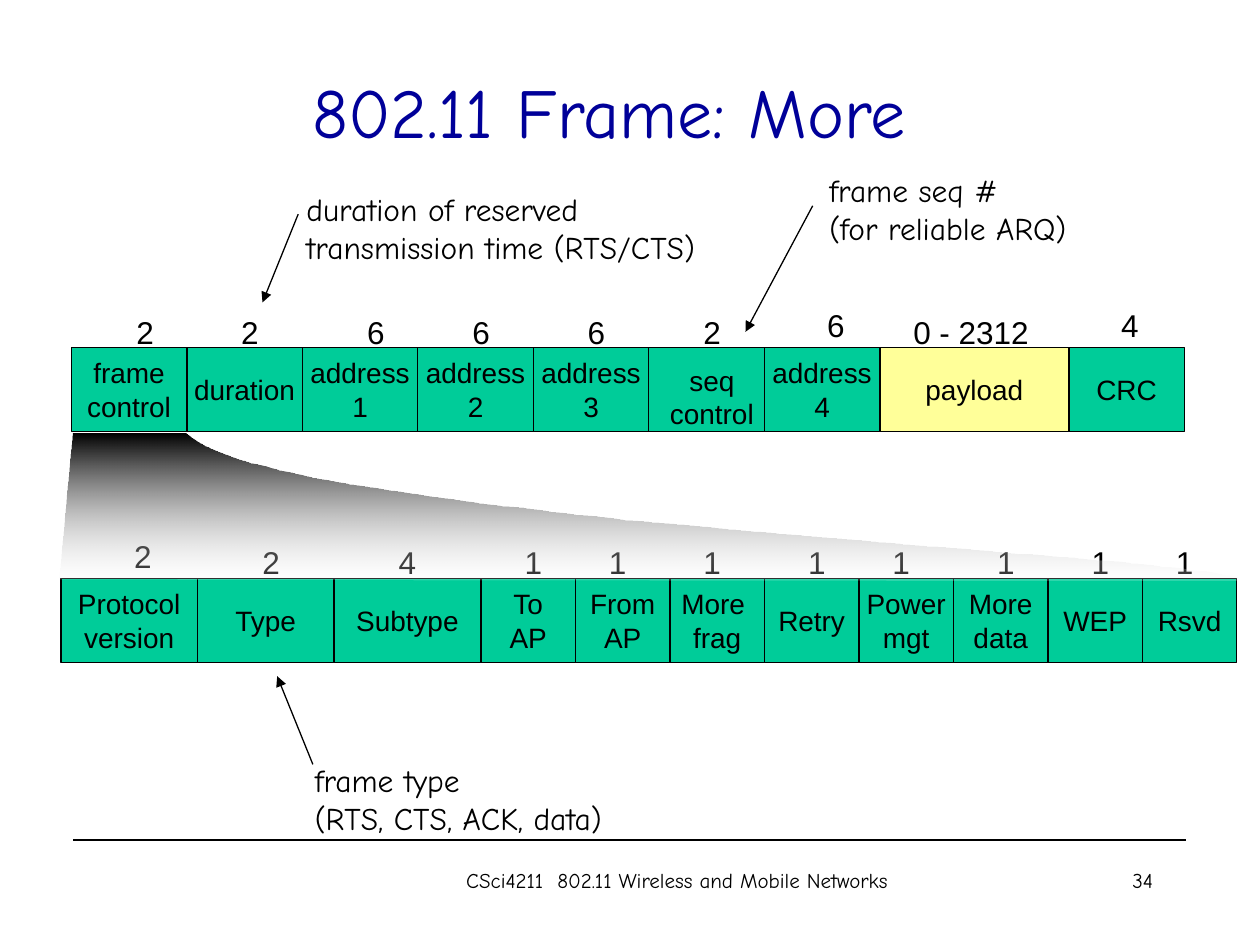
from itertools import accumulate
from lxml.etree import SubElement
from pptx import Presentation
from pptx.dml.color import RGBColor
from pptx.enum.shapes import MSO_CONNECTOR, MSO_SHAPE
from pptx.enum.text import MSO_ANCHOR, MSO_AUTO_SIZE, PP_ALIGN
from pptx.oxml.ns import qn
from pptx.util import Emu, Pt

PX = 7620
BLACK, GREEN, YELLOW, NAVY = "000000", "00CC99", "FFFF99", "000099"
LEFT, CENTER, RIGHT = PP_ALIGN.LEFT, PP_ALIGN.CENTER, PP_ALIGN.RIGHT


def px(*lengths):
    return [Emu(length * PX) for length in lengths]


def color(value):
    return RGBColor.from_string(value)


class FrameSlide:
    label_font = "Arial"
    note_font = "Comic Neue"
    line_width = Pt(0.75)

    def __init__(self, presentation):
        self.slide = presentation.slides.add_slide(presentation.slide_layouts[5])
        self.shapes = self.slide.shapes

    def add_lines(self, frame, lines, size, font, align=LEFT, ink=BLACK):
        for index, line in enumerate(lines):
            paragraph = frame.paragraphs[0] if index == 0 else frame.add_paragraph()
            paragraph.alignment = align
            run = paragraph.add_run()
            run.text = line
            run.font.size = Pt(size)
            run.font.name = font
            run.font.color.rgb = color(ink)

    def title(self, text, box):
        heading = self.shapes.title
        heading.left, heading.top, heading.width, heading.height = px(*box)
        frame = heading.text_frame
        frame.auto_size = MSO_AUTO_SIZE.NONE
        frame.vertical_anchor = MSO_ANCHOR.MIDDLE
        self.add_lines(frame, [text], 40, self.note_font, CENTER, NAVY)

    def text(self, lines, box, size=18, font=note_font, align=LEFT, wrap=False):
        frame = self.shapes.add_textbox(*px(*box)).text_frame
        frame.word_wrap = wrap
        frame.auto_size = MSO_AUTO_SIZE.NONE if wrap else MSO_AUTO_SIZE.SHAPE_TO_FIT_TEXT
        self.add_lines(frame, lines, size, font, align)

    def field(self, lines, box, fill):
        cell = self.shapes.add_shape(MSO_SHAPE.RECTANGLE, *px(*box))
        cell.shadow.inherit = False
        cell.fill.solid()
        cell.fill.fore_color.rgb = color(fill)
        cell.line.color.rgb = color(BLACK)
        cell.line.width = self.line_width
        frame = cell.text_frame
        frame.word_wrap = False
        frame.vertical_anchor = MSO_ANCHOR.MIDDLE
        self.add_lines(frame, lines, 16, self.label_font, CENTER)

    def field_row(self, fields, left, top):
        lefts = accumulate((width for _, width, _ in fields), initial=left)
        for (lines, width, fill), x in zip(fields, lefts):
            self.field(lines, (x, top, width, 80), fill)

    def byte_counts(self, counts):
        for count, left, top in counts:
            width = 41 if len(count) == 1 else 134
            self.text([count], (left, top, width, 48), font=self.label_font)

    def line(self, start, end, arrow=False):
        connector = self.shapes.add_connector(MSO_CONNECTOR.STRAIGHT, *px(*start, *end))
        connector.line.color.rgb = color(BLACK)
        connector.line.width = self.line_width
        properties = connector.element.spPr
        if arrow:
            SubElement(properties.find(qn("a:ln")), qn("a:tailEnd"), type="triangle")
        SubElement(properties, qn("a:effectLst"))

    def fading_outline(self, points):
        builder = self.shapes.build_freeform(*points[0], scale=PX)
        builder.add_line_segments(points[1:], close=True)
        wedge = builder.convert_to_shape()
        wedge.shadow.inherit = False
        wedge.line.fill.background()
        wedge.fill.gradient()
        wedge.fill.gradient_angle = 270
        for stop, shade in zip(wedge.fill.gradient_stops, (BLACK, "FFFFFF")):
            stop.color.rgb = color(shade)
        faded = wedge.element.spPr.findall(".//" + qn("a:srgbClr"))[-1]
        SubElement(faded, qn("a:alpha"), val="18000")


def curve(start, control1, control2, end, steps=60):
    points = []
    for step in range(steps + 1):
        t = step / steps
        weights = (1 - t) ** 3, 3 * t * (1 - t) ** 2, 3 * t ** 2 * (1 - t), t ** 3
        corners = zip(start, control1, control2, end)
        points.append(tuple(sum(w * c for w, c in zip(weights, axis)) for axis in corners))
    return points


def main():
    presentation = Presentation()
    presentation.slide_width, presentation.slide_height = px(1200, 900)
    page = FrameSlide(presentation)

    page.line((70, 800), (1130, 800))
    page.text(["34"], (860, 820, 250, 60), 12, align=RIGHT, wrap=True)

    frame_fields = [
        (["frame", "control"], 110, GREEN),
        (["duration"], 110, GREEN),
        *[(["address", number], 110, GREEN) for number in "123"],
        ([], 110, GREEN),
        (["address", "4"], 110, GREEN),
        (["payload"], 180, YELLOW),
        (["CRC"], 110, GREEN),
    ]
    page.field_row(frame_fields, 68, 331)
    page.byte_counts([
        ("2", 118, 292), ("2", 218, 292), ("6", 338, 292), ("6", 438, 292),
        ("6", 548, 292), ("2", 658, 292), ("6", 776, 286),
        ("0 - 2312", 858, 292), ("4", 1056, 286),
    ])
    page.text(["seq", "control"], (626, 340, 104, 77), 16, page.label_font, CENTER)

    flags = [["To", "AP"], ["From", "AP"], ["More ", "frag"], ["Retry"],
             ["Power", "mgt"], ["More", "data"], ["WEP"], ["Rsvd"]]
    control_fields = [
        (["Protocol", "version"], 130, GREEN),
        (["Type"], 130, GREEN),
        (["Subtype"], 140, GREEN),
        *[(flag, 90, GREEN) for flag in flags],
    ]
    page.field_row(control_fields, 58, 551)
    flag_lefts = (488, 568, 658, 758, 838, 938, 1028, 1108)
    page.byte_counts([
        ("2", 116, 506), ("2", 238, 511), ("4", 368, 511),
        *[("1", left, 511) for left in flag_lefts],
    ])
    expansion_edge = curve((1180, 553), (1200, 529), (259, 498), (178, 413))
    page.fading_outline([(70, 413), (57, 551), *expansion_edge])

    page.title("802.11 Frame: More", (70, 30, 1020, 150))
    page.text(["duration of reserved", "transmission time (RTS/CTS)"], (280, 175, 436, 84))
    page.line((284, 204), (250, 288), arrow=True)
    page.text(["frame seq #", "(for reliable ARQ)"], (778, 157, 282, 84))
    page.line((774, 196), (710, 316), arrow=True)
    page.line((298, 728), (264, 644), arrow=True)
    page.text(["frame type", "(RTS, CTS, ACK, data)"], (288, 719, 338, 84))
    page.text(["CSci4211  802.11 Wireless and Mobile Networks"], (400, 820, 490, 60),
              12, align=CENTER, wrap=True)
    presentation.save("out.pptx")


if __name__ == "__main__":
    main()
